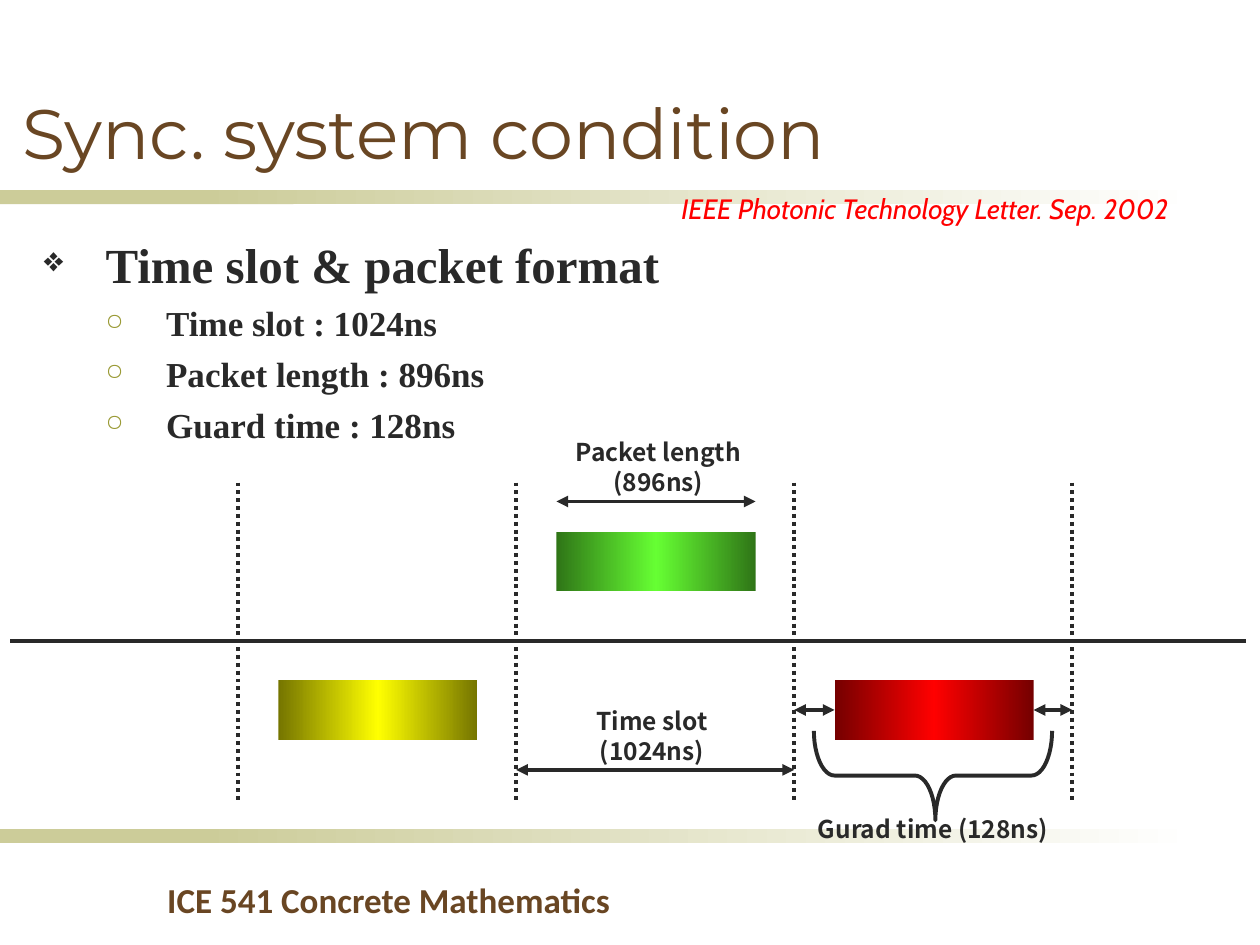
from lxml import etree
from pptx import Presentation
from pptx.dml.color import RGBColor
from pptx.enum.dml import MSO_LINE
from pptx.enum.shapes import MSO_CONNECTOR, MSO_SHAPE
from pptx.enum.text import MSO_ANCHOR, PP_ALIGN
from pptx.oxml.ns import qn
from pptx.util import Inches, Pt

RECT, BRACE = MSO_SHAPE.RECTANGLE, MSO_SHAPE.LEFT_BRACE
STRAIGHT = MSO_CONNECTOR.STRAIGHT
DOTTED = MSO_LINE.ROUND_DOT
LEFT, CENTER = PP_ALIGN.LEFT, PP_ALIGN.CENTER
TOP, MIDDLE = MSO_ANCHOR.TOP, MSO_ANCHOR.MIDDLE
LEFT_SIDE, RIGHT_SIDE = 1, 3

INK, BROWN, OLIVE, BAND = "292929", "694623", "999933", "CCCC99"
LABEL_FONT = "Noto Sans CJK KR"

# Time axis: four slot borders, each packet inset by half the guard time
BORDERS = [1.89 + i * 6.62 / 3 for i in range(4)]
GUARD, PACKET_W, PACKET_H = 0.32, 1.58, 0.47
UPPER_ROW, LOWER_ROW = 4.22, 5.4


def color(value):
    return RGBColor.from_string(value)


def add_sub(parent, tag, **attributes):
    return etree.SubElement(parent, qn(tag), attributes)


def box(slide, left, top, width, height, colors):
    """Rectangle filled with one colour, or with several from left to right."""
    shape = slide.shapes.add_shape(
        RECT, Inches(left), Inches(top), Inches(width), Inches(height))
    shape.shadow.inherit = False
    shape.line.fill.background()
    if len(colors) == 1:
        shape.fill.solid()
        shape.fill.fore_color.rgb = color(colors[0])
        return shape
    shape.fill.gradient()
    shape.fill.gradient_angle = 0
    stops = shape._element.spPr.find(qn("a:gradFill")).find(qn("a:gsLst"))
    for stop in list(stops):
        stops.remove(stop)
    for i, value in enumerate(colors):
        position = str(100000 * i // (len(colors) - 1))
        add_sub(add_sub(stops, "a:gs", pos=position), "a:srgbClr", val=value)
    return shape


def packet(slide, slot, top, dark, bright):
    return box(slide, BORDERS[slot] + GUARD, top, PACKET_W, PACKET_H,
               [dark, bright, dark])


def line(slide, x1, y1, x2, y2, dash=None, arrows=False):
    connector = slide.shapes.add_connector(
        STRAIGHT, Inches(x1), Inches(y1), Inches(x2), Inches(y2))
    connector.line.color.rgb = color(INK)
    connector.line.width = Pt(2.25)
    if dash is not None:
        connector.line.dash_style = dash
    if arrows:
        outline = connector.line._get_or_add_ln()
        add_sub(outline, "a:headEnd", type="triangle")
        add_sub(outline, "a:tailEnd", type="triangle")
    add_sub(connector._element.spPr, "a:effectLst")
    return connector


def write(paragraph, words, size, font, ink, bold=False, italic=False,
          align=LEFT, pitch=None):
    paragraph.alignment = align
    if pitch:
        paragraph.line_spacing = Pt(pitch)
    run = paragraph.add_run()
    run.text = words
    run.font.size = Pt(size)
    run.font.name = font
    run.font.color.rgb = color(ink)
    run.font.bold = bold
    run.font.italic = italic


def text_frame(slide, left, top, width, height, wrap=False, anchor=TOP):
    frame = slide.shapes.add_textbox(
        Inches(left), Inches(top), Inches(width), Inches(height)).text_frame
    frame.word_wrap = wrap
    frame.vertical_anchor = anchor
    return frame


def text(slide, left, top, width, height, lines, wrap=False, anchor=TOP,
         **style):
    frame = text_frame(slide, left, top, width, height, wrap, anchor)
    for i, words in enumerate(lines):
        paragraph = frame.add_paragraph() if i else frame.paragraphs[0]
        write(paragraph, words, **style)


def label(slide, left, top, width, height, *lines):
    text(slide, left, top, width, height, lines, size=14, font=LABEL_FONT,
         ink=INK, bold=True, align=CENTER, pitch=17)


def bullet(paragraph, mark, mark_color, percent, margin, hanging):
    properties = paragraph._p.get_or_add_pPr()
    properties.set("marL", str(Inches(margin)))
    properties.set("indent", str(-Inches(hanging)))
    add_sub(add_sub(properties, "a:buClr"), "a:srgbClr", val=mark_color)
    add_sub(properties, "a:buSzPct", val=str(percent * 1000))
    add_sub(properties, "a:buChar", char=mark)


def bullet_list(slide, heading, items):
    frame = text_frame(slide, 0.25, 1.81, 8.38, 1.85, wrap=True)
    first = frame.paragraphs[0]
    bullet(first, "❖", INK, 70, 0.49, 0.49)
    write(first, heading, 28, "Times New Roman", INK, bold=True)
    for item in items:
        paragraph = frame.add_paragraph()
        paragraph.level = 1
        bullet(paragraph, "○", OLIVE, 65, 0.97, 0.48)
        paragraph.space_before = Pt(5)
        write(paragraph, item, 20, "Times New Roman", INK, bold=True)


def guard_brace(slide):
    brace = slide.shapes.add_shape(
        BRACE, Inches(7.05), Inches(5.21), Inches(0.71), Inches(1.89))
    brace.rotation = 270
    brace.adjustments[0] = 0.23
    brace.adjustments[1] = 0.51
    brace.shadow.inherit = False
    brace.fill.background()
    brace.line.color.rgb = color(INK)
    brace.line.width = Pt(2.25)


def frame_of_slide(slide):
    for top in (1.51, 6.58):
        box(slide, 0, top, 2.33, 0.11, [BAND])
        box(slide, 1.58, top, 7.92, 0.11, [BAND, "FFFFFF"])
    text(slide, 0, 6.92, 6.17, 0.44, ["ICE 541 Concrete Mathematics"],
         wrap=True, size=20, font="Calibri", ink=BROWN, bold=True,
         align=CENTER)
    text(slide, 0.08, 0.67, 8.6, 0.75, ["Sync. system condition"], wrap=True,
         anchor=MIDDLE, size=40, font="Montserrat", ink=BROWN)


def timing_diagram(slide):
    packet(slide, 1, UPPER_ROW, "2F7517", "66FF33")
    for x in BORDERS:
        line(slide, x, 3.83, x, 6.35, dash=DOTTED)
    packet(slide, 0, LOWER_ROW, "757500", "FFFF00")
    line(slide, 0.08, 5.09, 9.89, 5.09)
    guarded = packet(slide, 2, LOWER_ROW, "750000", "FF0000")

    line(slide, BORDERS[1], 6.11, BORDERS[2], 6.11, arrows=True)
    label(slide, 4.63, 5.55, 1.09, 0.57, "Time slot", "(1024ns)")
    start = BORDERS[1] + GUARD
    line(slide, start, 3.98, start + PACKET_W, 3.98, arrows=True)
    label(slide, 4.45, 3.42, 1.55, 0.57, "Packet length", "(896ns)")

    middle = LOWER_ROW + PACKET_H / 2
    start = BORDERS[2] + GUARD
    before = line(slide, BORDERS[2], middle, start, middle, arrows=True)
    before.end_connect(guarded, LEFT_SIDE)
    after = line(slide, start + PACKET_W, middle, BORDERS[3], middle,
                 arrows=True)
    after.begin_connect(guarded, RIGHT_SIDE)
    guard_brace(slide)
    label(slide, 6.38, 6.41, 2.05, 0.34, "Gurad time (128ns)")


def main():
    deck = Presentation()
    deck.slide_width, deck.slide_height = Inches(10), Inches(7.5)
    slide = deck.slides.add_slide(deck.slide_layouts[6])
    frame_of_slide(slide)
    bullet_list(slide, "Time slot & packet format",
                ["Time slot : 1024ns", "Packet length : 896ns",
                 "Guard time : 128ns"])
    timing_diagram(slide)
    text(slide, 5.31, 1.47, 4.4, 0.37,
         ["IEEE Photonic Technology Letter. Sep. 2002"],
         size=16, font="Cabin", ink="FF0000", italic=True)
    deck.save("out.pptx")


if __name__ == "__main__":
    main()
